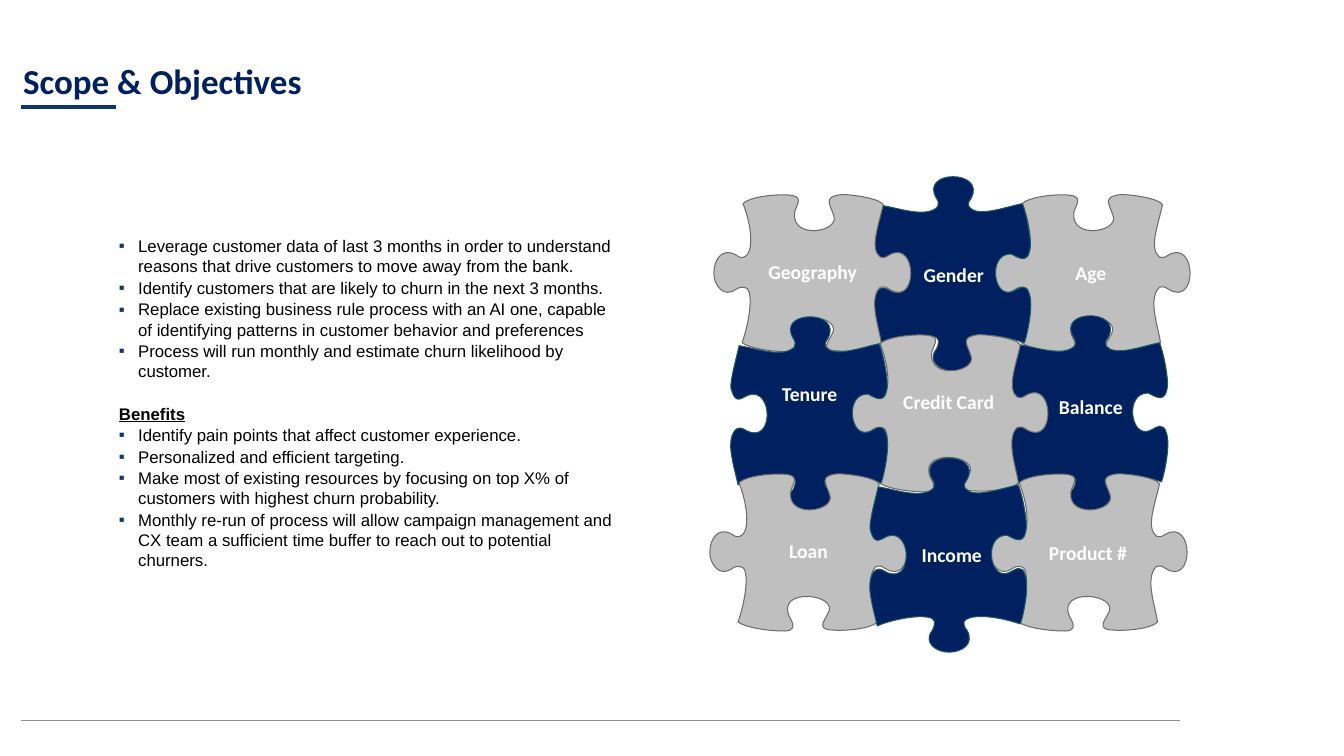
import pptx
import pptx.util
import pptx.dml.color
import pptx.enum.shapes
import pptx.enum.text
import pptx.oxml
import pptx.oxml.ns
from pptx.util import Inches, Pt

NAVY = pptx.dml.color.RGBColor(0x00, 0x20, 0x60)
NAVY_EDGE = pptx.dml.color.RGBColor(0x21, 0x59, 0x68)
SILVER = pptx.dml.color.RGBColor(0xBF, 0xBF, 0xBF)
SILVER_EDGE = pptx.dml.color.RGBColor(0x6C, 0x6C, 0x6C)
ACCENT = pptx.dml.color.RGBColor(0x11, 0x36, 0x6B)
RULE_GRAY = pptx.dml.color.RGBColor(0x8E, 0x8E, 0x8E)
BLACK = pptx.dml.color.RGBColor(0, 0, 0)
WHITE = pptx.dml.color.RGBColor(0xFF, 0xFF, 0xFF)
NS = 'xmlns:a="http://schemas.openxmlformats.org/drawingml/2006/main"'


def write_text(paragraph, text, font="Calibri", size=14, color=WHITE, bold=True,
               underline=False, align=pptx.enum.text.PP_ALIGN.LEFT,
               before=0, margin=0, indent=0, bullet=None):
    """Fill one paragraph; margin and indent are in inches, before in points."""
    paragraph.alignment = align
    paragraph.space_before = Pt(before)
    properties = paragraph._p.get_or_add_pPr()
    properties.set("marL", str(Inches(margin)))
    properties.set("indent", str(Inches(indent)))
    if bullet:
        bullet_parts = [f'<a:buClr {NS}><a:srgbClr val="{ACCENT}"/></a:buClr>',
                        f'<a:buFont {NS} typeface="Arial"/>',
                        f'<a:buChar {NS} char="{bullet}"/>']
    else:
        bullet_parts = [f"<a:buNone {NS}/>"]
    for part in bullet_parts:
        properties.append(pptx.oxml.parse_xml(part))
    run = paragraph.add_run()
    run.text = text
    run.font.name = font
    run.font.size = Pt(size)
    run.font.color.rgb = color
    run.font.bold = bold
    run.font.underline = underline


def bend_outline(piece, start, curves, box):
    """Turn the straight sides of a piece into cubic curves within its box."""
    left, top, width, height = box
    outline = piece._element.spPr.find(".//" + pptx.oxml.ns.qn("a:path"))
    for child in list(outline):
        outline.remove(child)
    outline.set("w", str(Inches(width)))
    outline.set("h", str(Inches(height)))
    for tag, numbers in [("moveTo", start)] + [("cubicBezTo", curve) for curve in curves]:
        points = "".join(f'<a:pt x="{Inches(x - left)}" y="{Inches(y - top)}"/>'
                         for x, y in zip(numbers[::2], numbers[1::2]))
        outline.append(pptx.oxml.parse_xml(f"<a:{tag} {NS}>{points}</a:{tag}>"))
    outline.append(pptx.oxml.parse_xml(f"<a:close {NS}/>"))


presentation = pptx.Presentation()
presentation.slide_width = Inches(13.33)
presentation.slide_height = Inches(7.5)
slide = presentation.slides.add_slide(presentation.slide_layouts[1])

# Title and body text
heading = slide.shapes.title
body = slide.placeholders[1]
for holder, box, top_inset in ((heading, (0.19, 0.18, 11.88, 0.82), 0.41),
                               (body, (1.1, 2.34, 5.05, 3.36), 0)):
    holder.left, holder.top, holder.width, holder.height = map(Inches, box)
    frame = holder.text_frame
    frame.margin_left = frame.margin_right = frame.margin_bottom = 0
    frame.margin_top = Inches(top_inset)
    frame.vertical_anchor = pptx.enum.text.MSO_ANCHOR.TOP
    frame.auto_size = pptx.enum.text.MSO_AUTO_SIZE.NONE
    frame.word_wrap = True

write_text(heading.text_frame.paragraphs[0], "Scope & Objectives",
           size=25, color=NAVY, margin=0.04)

BENEFITS = "Benefits"
statements = [
    "Leverage customer data of last 3 months in order to understand reasons that drive "
    "customers to move away from the bank.",
    "Identify customers that are likely to churn in the next 3 months.",
    "Replace existing business rule process with an AI one, capable of identifying "
    "patterns in customer behavior and preferences",
    "Process will run monthly and estimate churn likelihood by customer.",
    BENEFITS,
    "Identify pain points that affect customer experience.",
    "Personalized and efficient targeting.",
    "Make most of existing resources by focusing on top X% of customers with highest "
    "churn probability.",
    "Monthly re-run of process will allow campaign management and CX team a sufficient "
    "time buffer to reach out to potential churners.",
]
for number, statement in enumerate(statements):
    paragraph = body.text_frame.paragraphs[0] if number == 0 else body.text_frame.add_paragraph()
    if statement == BENEFITS:
        write_text(paragraph, statement, font="Arial", size=12, color=BLACK,
                   underline=True, before=15.8, margin=0.08)
    else:
        write_text(paragraph, statement, font="Arial", size=12, color=BLACK, bold=False,
                   before=1 if number else 0, margin=0.27, indent=-0.19, bullet="▪")

# Title underline and footer rule
for x1, x2, y, color, weight in ((0.21, 1.15, 1.06, ACCENT, 3),
                                 (0.21, 11.7, 7.15, RULE_GRAY, 0.72)):
    rule = slide.shapes.add_connector(pptx.enum.shapes.MSO_CONNECTOR.STRAIGHT,
                                      Inches(x1), Inches(y), Inches(x2), Inches(y))
    rule.line.color.rgb = color
    rule.line.width = Pt(weight)
    rule._element.spPr.append(pptx.oxml.parse_xml(f"<a:effectLst {NS}/>"))

# Puzzle: tabs at the sides (silver) and tabs at top and bottom (navy)
side_tabs = ((7.08, 2.71), [
    (7.08, 2.83, 7.18, 2.96, 7.3, 2.87), (7.32, 2.85, 7.35, 2.85, 7.38, 2.85),
    (7.49, 2.85, 7.43, 3.21, 7.36, 3.4), (7.46, 3.47, 7.71, 3.49, 7.82, 3.49),
    (7.91, 3.49, 7.93, 3.45, 7.87, 3.35), (7.73, 3.05, 8.38, 3.12, 8.25, 3.32),
    (8.22, 3.38, 8.13, 3.48, 8.3, 3.48), (8.36, 3.49, 8.67, 3.48, 8.74, 3.4),
    (8.72, 3.25, 8.61, 2.96, 8.73, 2.85), (8.75, 2.84, 8.78, 2.84, 8.82, 2.87),
    (9.11, 3.05, 9.1, 2.37, 8.82, 2.53), (8.78, 2.56, 8.75, 2.56, 8.73, 2.55),
    (8.62, 2.47, 8.72, 2.22, 8.76, 2.03), (8.71, 1.96, 8.43, 1.93, 8.35, 1.93),
    (8.16, 1.95, 8.23, 2.02, 8.27, 2.14), (8.33, 2.3, 7.86, 2.38, 7.88, 2.12),
    (7.88, 2.06, 7.98, 1.96, 7.86, 1.94), (7.77, 1.92, 7.45, 1.94, 7.37, 2.02),
    (7.48, 2.31, 7.46, 2.53, 7.38, 2.55), (7.36, 2.56, 7.34, 2.56, 7.3, 2.53),
    (7.16, 2.45, 7.08, 2.58, 7.08, 2.71)], (7.08, 1.93, 1.95, 1.55), SILVER, SILVER_EDGE)
end_tabs = ((9.45, 3.68), [
    (9.32, 3.68, 9.19, 3.58, 9.29, 3.46), (9.3, 3.44, 9.31, 3.41, 9.31, 3.38),
    (9.3, 3.28, 8.92, 3.34, 8.74, 3.42), (8.72, 3.32, 8.65, 3.09, 8.67, 2.98),
    (8.68, 2.91, 8.72, 2.81, 8.82, 2.88), (9.1, 3.03, 9.09, 2.44, 8.84, 2.53),
    (8.76, 2.57, 8.71, 2.62, 8.67, 2.46), (8.66, 2.38, 8.73, 2.14, 8.75, 2.04),
    (8.9, 2.06, 9.19, 2.17, 9.3, 2.05), (9.31, 2.03, 9.31, 2, 9.29, 1.97),
    (9.11, 1.68, 9.79, 1.68, 9.63, 1.97), (9.6, 2.01, 9.6, 2.03, 9.61, 2.05),
    (9.69, 2.16, 9.95, 2.06, 10.14, 2.02), (10.18, 2.12, 10.22, 2.33, 10.22, 2.43),
    (10.21, 2.62, 10.12, 2.57, 10.03, 2.52), (9.79, 2.51, 9.85, 2.98, 10.05, 2.89),
    (10.11, 2.86, 10.18, 2.8, 10.21, 2.92), (10.25, 3.03, 10.19, 3.32, 10.16, 3.4),
    (9.86, 3.3, 9.63, 3.31, 9.6, 3.38), (9.6, 3.4, 9.6, 3.43, 9.63, 3.46),
    (9.71, 3.6, 9.58, 3.68, 9.45, 3.68)], (8.67, 1.75, 1.55, 1.92), NAVY, NAVY_EDGE)

# Label, piece, shift of the piece, centre and top of the label
factors = [
    ("Age", side_tabs, 2.77, 0, 10.82, 2.54),
    ("Gender", end_tabs, 0, 0, 9.46, 2.56),
    ("Geography", side_tabs, 0, 0, 8.06, 2.53),
    ("Balance", end_tabs, 1.36, 1.38, 10.82, 3.87),
    ("Credit Card", side_tabs, 1.36, 1.39, 9.41, 3.82),
    ("Tenure", end_tabs, -1.42, 1.39, 8.03, 3.74),
    ("Loan", side_tabs, -0.04, 2.77, 8.02, 5.3),
    ("Product #", side_tabs, 2.74, 2.77, 10.79, 5.32),
    ("Income", end_tabs, -0.04, 2.79, 9.44, 5.34),
]
LABEL_WIDTH = 1.4
for label, (start, curves, box, fill, edge), dx, dy, centre, top in factors:
    builder = slide.shapes.build_freeform(Inches(start[0]), Inches(start[1]))
    builder.add_line_segments([(Inches(curve[4]), Inches(curve[5])) for curve in curves])
    piece = builder.convert_to_shape()
    bend_outline(piece, start, curves, box)
    piece.left, piece.top = Inches(box[0] + dx), Inches(box[1] + dy)
    piece.width, piece.height = Inches(box[2]), Inches(box[3])
    piece.shadow.inherit = False
    piece.fill.solid()
    piece.fill.fore_color.rgb = fill
    piece.line.color.rgb = edge
    piece.line.width = Pt(0.75)

for label, _, _, _, centre, top in factors:
    caption = slide.shapes.add_textbox(Inches(centre - LABEL_WIDTH / 2), Inches(top),
                                       Inches(LABEL_WIDTH), Inches(0.34))
    caption.text_frame.word_wrap = True
    write_text(caption.text_frame.paragraphs[0], label,
               align=pptx.enum.text.PP_ALIGN.CENTER)

presentation.save("out.pptx")
